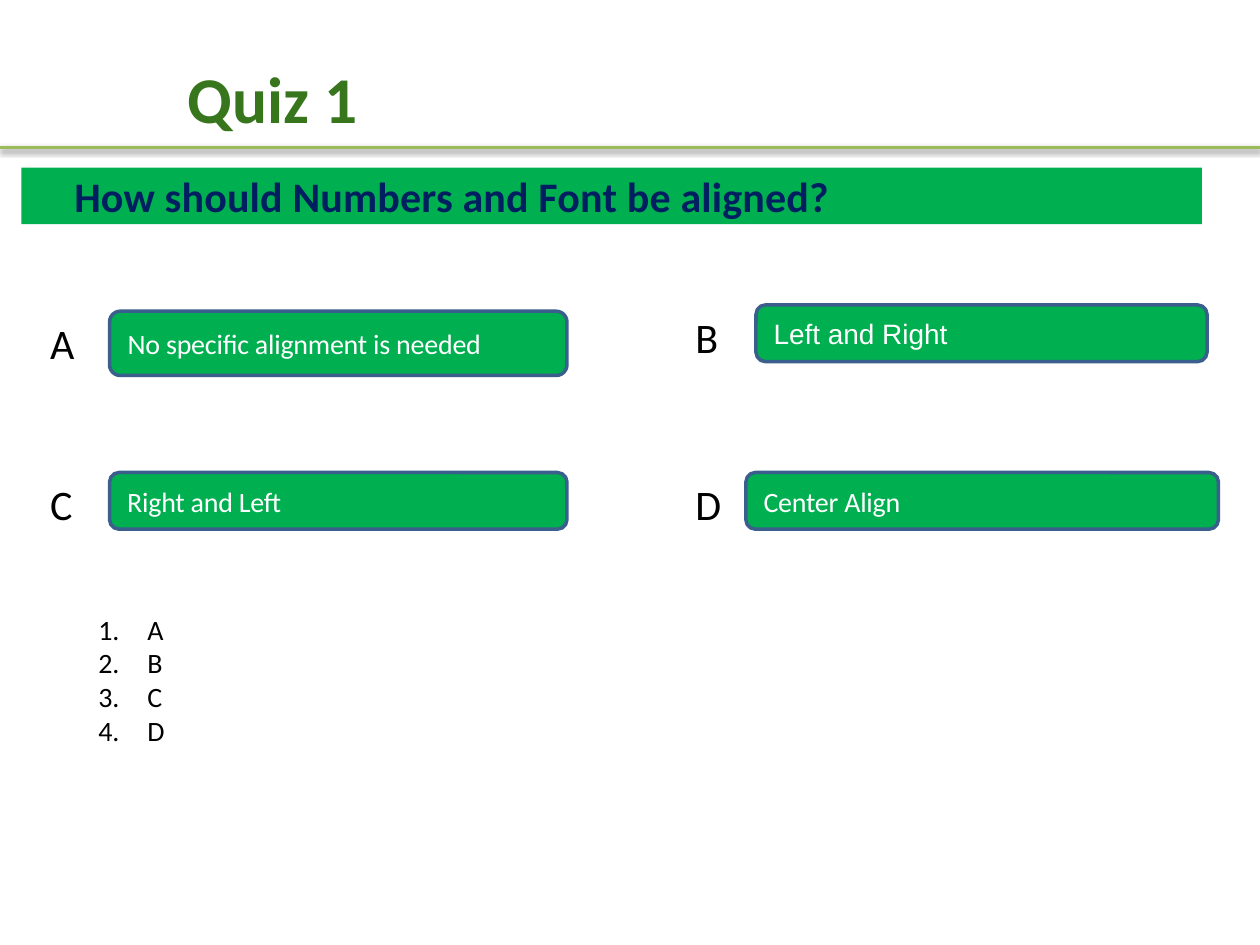
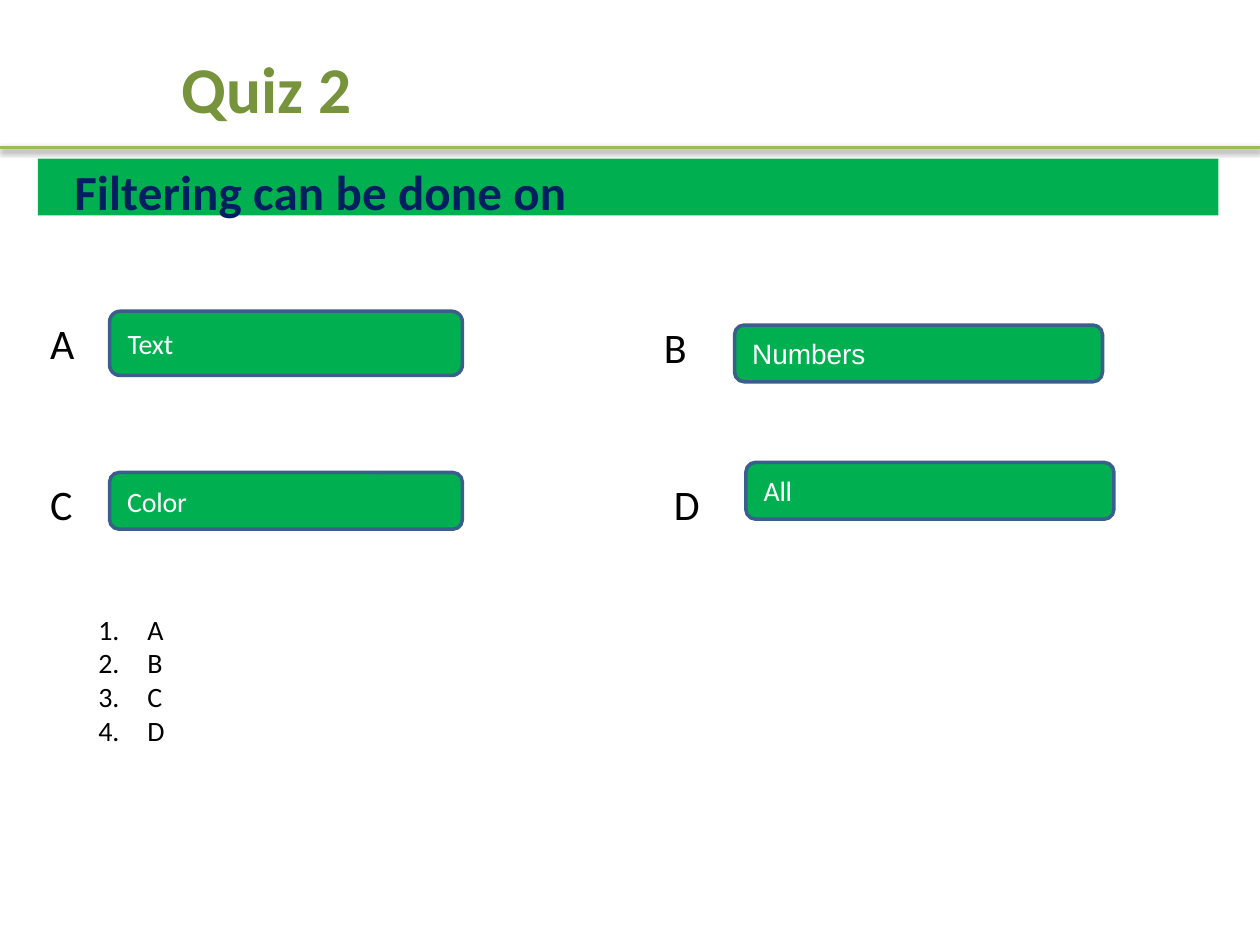
from lxml.etree import SubElement
from pptx import Presentation
from pptx.dml.color import RGBColor
from pptx.enum.shapes import MSO_CONNECTOR, MSO_SHAPE
from pptx.enum.text import MSO_ANCHOR, MSO_AUTO_SIZE, PP_ALIGN
from pptx.oxml.ns import qn
from pptx.util import Inches, Pt

WHITE = RGBColor(0xFF, 0xFF, 0xFF)
BLACK = RGBColor(0x00, 0x00, 0x00)
NAVY = RGBColor(0x00, 0x1F, 0x60)
GREEN = RGBColor(0x00, 0xB0, 0x50)
OUTLINE = RGBColor(0x3A, 0x5F, 0x8C)
RULE = RGBColor(0x9B, 0xBB, 0x59)
FOREST = RGBColor(0x38, 0x76, 0x1D)
OLIVE = RGBColor(0x77, 0x93, 0x3C)

SLIDE_WIDTH, SLIDE_HEIGHT = Inches(10), Inches(7.5)
COLUMNS = 100
CELL = SLIDE_WIDTH / COLUMNS

LETTERS = "ABCD"
LEFT_LETTER, LEFT_BOX = 3, 8.7
TOP_ROW, BOTTOM_ROW = 24.7, 37.5
BOX_HEIGHT, TALL_BOX_HEIGHT = 4.5, 5.1

QUIZZES = [
    dict(
        title="Quiz 1", title_area=(0, 3.3, 43.3, 8), title_color=FOREST,
        question="How should Numbers and Font be aligned?", question_size=24,
        band=(1.7, 13.3),
        letters=[(LEFT_LETTER, TOP_ROW), (54.2, 24.2),
                 (LEFT_LETTER, BOTTOM_ROW), (54.2, BOTTOM_ROW)],
        answers=[
            ("No specific alignment is needed", (LEFT_BOX, TOP_ROW, 36.3, TALL_BOX_HEIGHT)),
            ("Left and Right", (60, 24.2, 35.8, BOX_HEIGHT)),
            ("Right and Left", (LEFT_BOX, BOTTOM_ROW, 36.3, BOX_HEIGHT)),
            ("Center Align", (59.2, BOTTOM_ROW, 37.5, BOX_HEIGHT)),
        ],
    ),
    dict(
        title="Quiz 2", title_area=(0, 2.5, 42.3, 8.8), title_color=OLIVE,
        question="Filtering can be done on", question_size=28,
        band=(3, 12.6),
        letters=[(LEFT_LETTER, TOP_ROW), (51.7, 25),
                 (LEFT_LETTER, BOTTOM_ROW), (52.5, BOTTOM_ROW)],
        answers=[
            ("Text", (LEFT_BOX, TOP_ROW, 28, TALL_BOX_HEIGHT)),
            ("Numbers", (58.3, 25.8, 29.2, BOX_HEIGHT)),
            ("Color", (LEFT_BOX, BOTTOM_ROW, 28, BOX_HEIGHT)),
            ("All", (59.2, 36.7, 29.2, BOX_HEIGHT)),
        ],
    ),
]


def cells(*counts):
    return [round(count * CELL) for count in counts]


def write(para, text, size, color, font="Calibri", bold=False, align=PP_ALIGN.LEFT,
          before=0, spacing=0, margin=0, indent=0):
    para.alignment = align
    para.space_before = Pt(before)
    properties = para._p.get_or_add_pPr()
    properties.set("marL", str(Inches(margin)))
    properties.set("indent", str(Inches(indent)))
    span = para.add_run()
    span.text = text
    span.font.name = font
    span.font.size = Pt(size)
    span.font.bold = bold
    span.font.color.rgb = color
    if spacing:
        span.font._element.set("spc", str(round(spacing * 100)))


def set_frame(frame, insets, anchor=MSO_ANCHOR.TOP):
    frame.word_wrap = True
    frame.auto_size = MSO_AUTO_SIZE.NONE
    frame.vertical_anchor = anchor
    (frame.margin_left, frame.margin_top,
     frame.margin_right, frame.margin_bottom) = map(Inches, insets)


def place(holder, area):
    holder.left, holder.top, holder.width, holder.height = cells(*area)


def add_title(page, text, area, color):
    place(page.shapes.title, area)
    frame = page.shapes.title.text_frame
    set_frame(frame, (0.13,) * 4)
    write(frame.paragraphs[0], text, 37.3, color, bold=True, align=PP_ALIGN.CENTER)


def add_rule(page):
    left, right, top = cells(0, COLUMNS, 11.7)
    rule = page.shapes.add_connector(MSO_CONNECTOR.STRAIGHT, left, top, right, top)
    rule.line.color.rgb = RULE
    rule.line.width = Pt(2)
    effects = SubElement(rule._element.spPr, qn("a:effectLst"))
    shadow = SubElement(effects, qn("a:outerShdw"), blurRad=str(Pt(3.1)),
                        dist=str(Pt(1.6)), dir="5400000", rotWithShape="0")
    shade = SubElement(shadow, qn("a:srgbClr"), val=str(BLACK))
    SubElement(shade, qn("a:alpha"), val="38000")


def add_panel(page, kind, area, outline=None):
    panel = page.shapes.add_shape(kind, *cells(*area))
    panel.shadow.inherit = False
    panel.fill.solid()
    panel.fill.fore_color.rgb = GREEN
    if outline is None:
        panel.line.fill.background()
    else:
        panel.line.color.rgb = outline
        panel.line.width = Pt(2)
    return panel


def add_label(page, text, area, insets=(0.1, 0.05, 0.1, 0.05), **style):
    box = page.shapes.add_textbox(*cells(*area))
    set_frame(box.text_frame, insets)
    write(box.text_frame.paragraphs[0], text, **style)


def add_question(page, text, size, band):
    left, top = band
    add_panel(page, MSO_SHAPE.RECTANGLE, (left, top, 93.7, 4.5))
    add_label(page, text, (5.8, top, 90, 4.9), insets=(0, 0.02, 0, 0), size=size,
              color=NAVY, bold=True, before=1.3, spacing=0.1, margin=0.01)


def add_answer(page, text, area, font):
    box = add_panel(page, MSO_SHAPE.ROUNDED_RECTANGLE, area, OUTLINE)
    set_frame(box.text_frame, (0.1, 0.05, 0.1, 0.05), MSO_ANCHOR.MIDDLE)
    write(box.text_frame.paragraphs[0], text, 16, WHITE, font=font,
          spacing=0 if font == "Arial" else -0.1, margin=0.28, indent=-0.26)


def add_choices(page):
    body = page.placeholders[1]
    place(body, (6.8, 48.1, 76, 14.5))
    frame = body.text_frame
    set_frame(frame, (0.1, 0.05, 0.1, 0.05))
    for index, letter in enumerate(LETTERS):
        para = frame.add_paragraph() if index else frame.paragraphs[0]
        write(para, letter, 16, BLACK, margin=0.39, indent=-0.39)
        SubElement(para._p.get_or_add_pPr(), qn("a:buFont"), typeface="+mj-lt")
        SubElement(para._p.get_or_add_pPr(), qn("a:buAutoNum"), type="arabicPeriod")


def add_quiz(deck, quiz):
    page = deck.slides.add_slide(deck.slide_layouts[1])
    add_rule(page)
    add_title(page, quiz["title"], quiz["title_area"], quiz["title_color"])
    add_question(page, quiz["question"], quiz["question_size"], quiz["band"])
    for letter, corner, (answer, area) in zip(LETTERS, quiz["letters"], quiz["answers"]):
        add_label(page, letter, (*corner, 4.5, 5.1), size=24, color=BLACK)
        add_answer(page, answer, area, font="Arial" if letter == "B" else "Calibri")
    add_choices(page)


def main():
    deck = Presentation()
    deck.slide_width, deck.slide_height = SLIDE_WIDTH, SLIDE_HEIGHT
    for quiz in QUIZZES:
        add_quiz(deck, quiz)
    deck.save("out.pptx")


if __name__ == "__main__":
    main()
